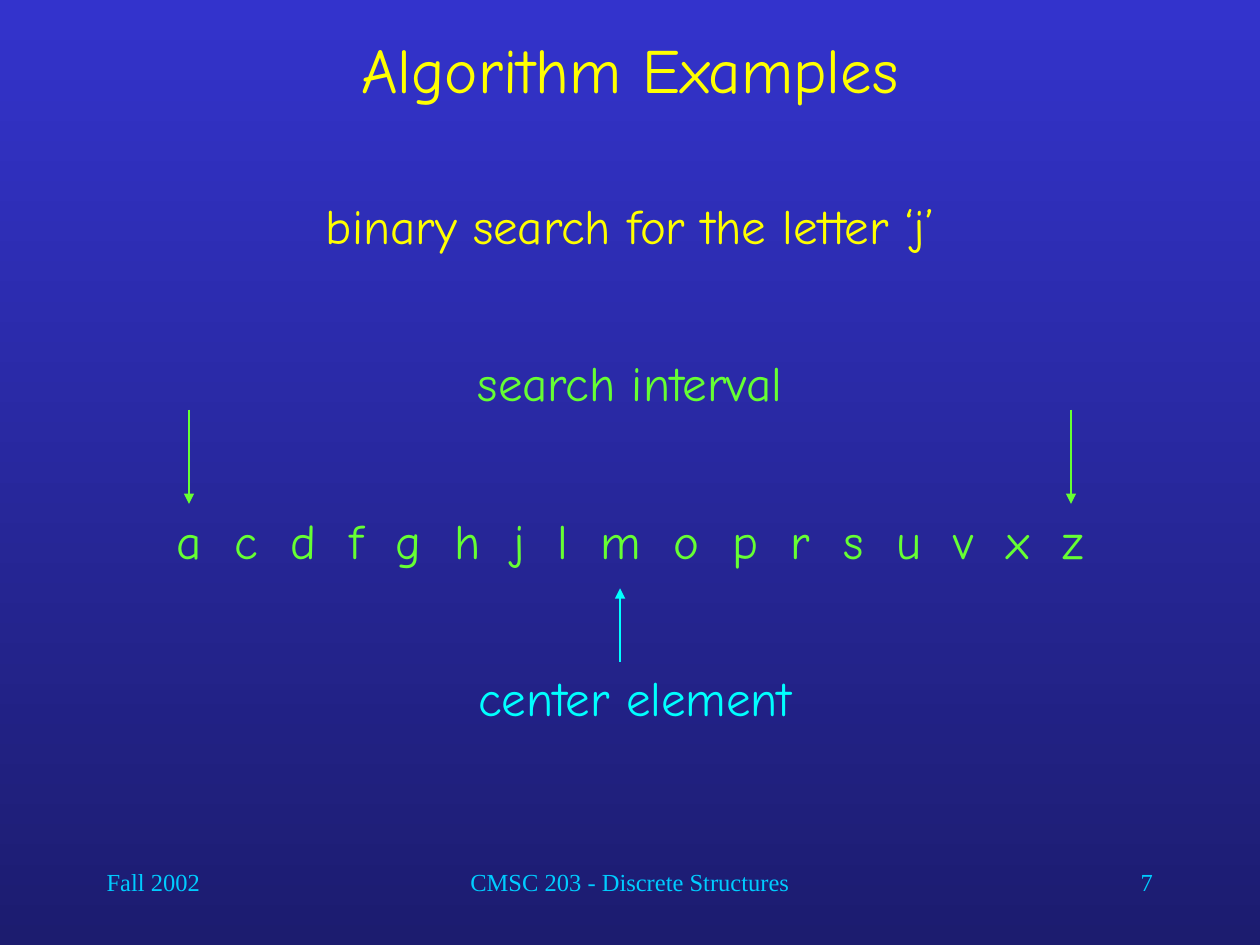
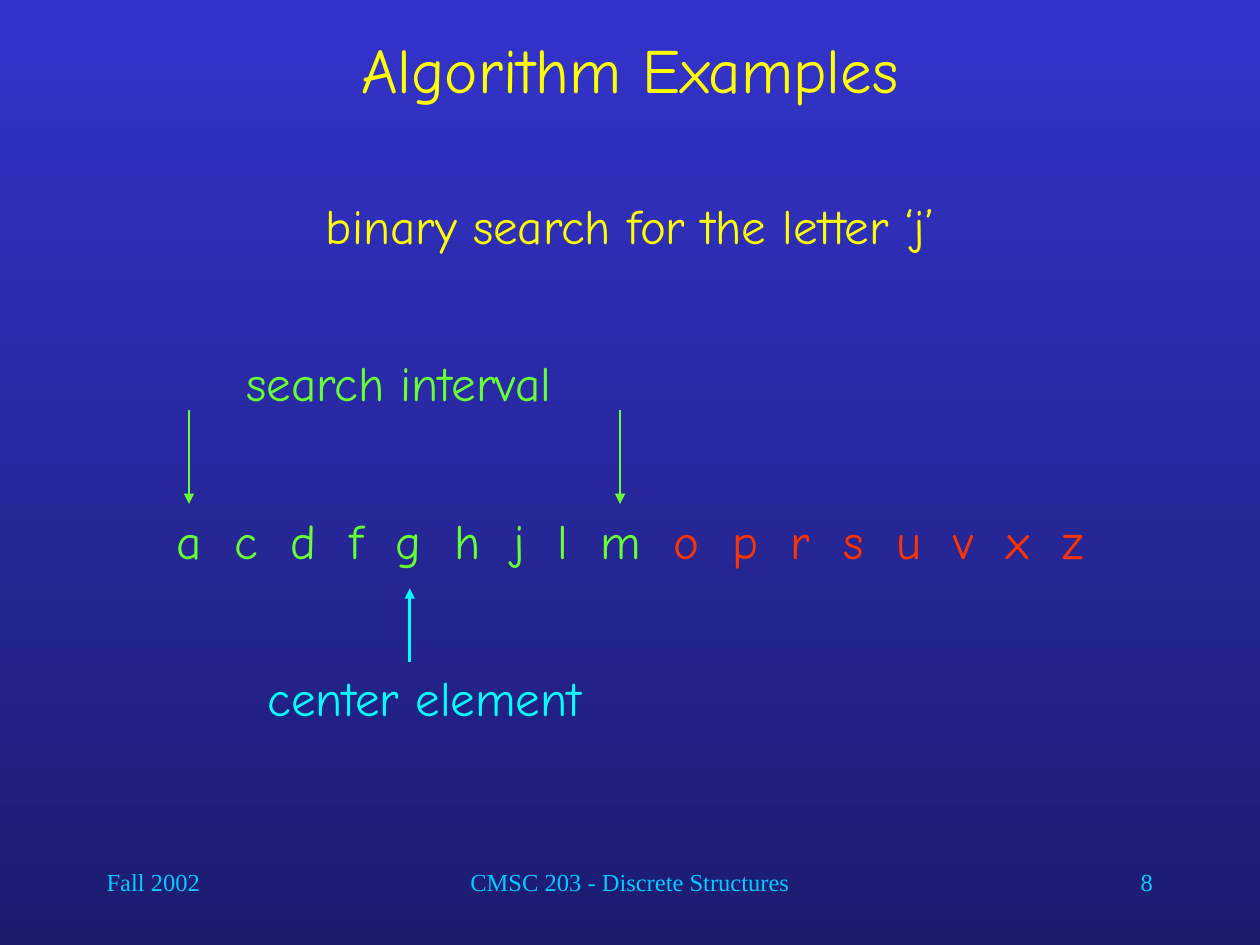
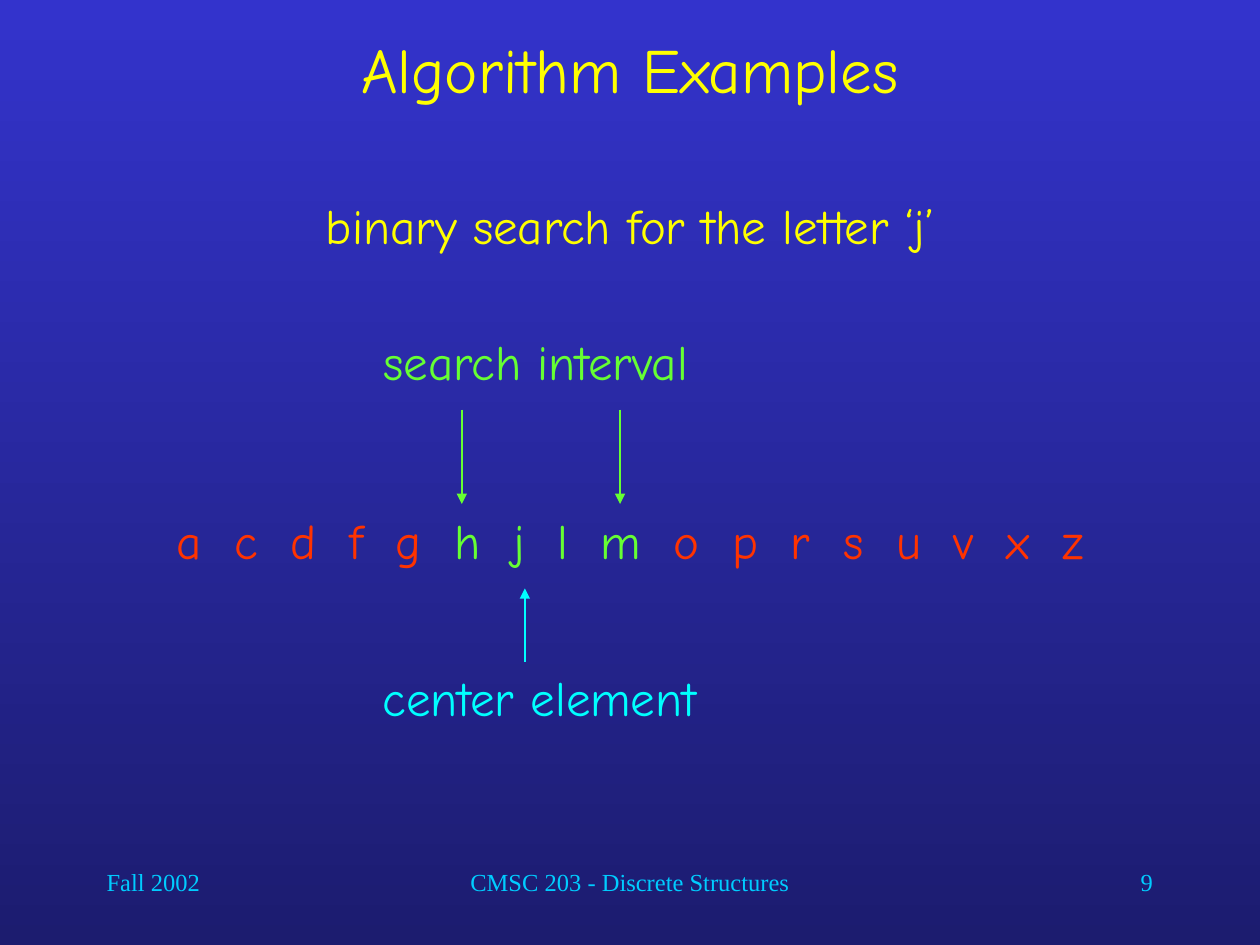
from itertools import groupby

from lxml.etree import SubElement
from pptx import Presentation
from pptx.dml.color import RGBColor
from pptx.enum.shapes import MSO_CONNECTOR
from pptx.enum.text import MSO_ANCHOR, PP_ALIGN
from pptx.oxml.ns import qn
from pptx.util import Cm, Pt

YELLOW, GREEN, RED, CYAN = "FFFF00", "66FF33", "FF3300", "00FFFF"
TITLE = {"name": "Comic Neue", "size": Pt(36)}
BODY = {"name": "Comic Neue", "size": Pt(28)}
FOOTER = {"name": "Times New Roman", "size": Pt(14)}
FOOTER_COLOUR = "00CCFF"

LETTERS = "acdfghjlmoprsuvxz"
GAP = "  "
LETTER_X = {"a": 3.81, "g": 8.26, "h": 9.31, "j": 10.58, "m": 12.5, "z": 21.59}
LABEL_HEIGHT = 1.45
CENTER_WIDTH = 7.82

# first, center and last letter; left and top of the interval label
STEPS = [
    ("a", "m", "z", 8.89, 6.99),
    ("a", "g", "m", 4.23, 6.99),
    ("h", "j", "m", 6.99, 6.56),
]


def add_text(page, left, top, width, height, runs, font, align=PP_ALIGN.CENTER):
    """Add a one-paragraph box; runs holds (text, colour) pairs."""
    box = page.shapes.add_textbox(Cm(left), Cm(top), Cm(width), Cm(height))
    box.text_frame.word_wrap = True
    para = box.text_frame.paragraphs[0]
    para.alignment = align
    for text, colour in runs:
        span = para.add_run()
        span.text = text
        for name, value in font.items():
            setattr(span.font, name, value)
        span.font.color.rgb = RGBColor.from_string(colour)
    return box


def add_arrow(page, x, start, end, colour):
    """Add a vertical line with its arrowhead at end."""
    arrow = page.shapes.add_connector(
        MSO_CONNECTOR.STRAIGHT, Cm(x), Cm(start), Cm(x), Cm(end))
    arrow.line.width = Pt(1.5)
    arrow.line.color.rgb = RGBColor.from_string(colour)
    SubElement(arrow.line._get_or_add_ln(), qn("a:tailEnd"), type="triangle")
    SubElement(arrow._element.spPr, qn("a:effectLst"))


deck = Presentation()
deck.slide_width, deck.slide_height = Cm(25.4), Cm(19.05)

backdrop = deck.slide_master.background.fill
backdrop.gradient()
backdrop.gradient_angle = 270
for stop, position, colour in zip(backdrop.gradient_stops, (0, 1), ("3333CC", "1C1C6F")):
    stop.position = position
    stop.color.rgb = RGBColor.from_string(colour)

for number, (first, center, last, label_left, label_top) in enumerate(STEPS, start=7):
    page = deck.slides.add_slide(deck.slide_layouts[6])

    for left, width, text, align in [
        (1.9, 5.29, "Fall 2002", PP_ALIGN.LEFT),
        (7.2, 11, "CMSC 203 - Discrete Structures", PP_ALIGN.CENTER),
        (18.2, 5.29, str(number), PP_ALIGN.RIGHT),
    ]:
        add_text(page, left, 17.36, width, 1.27, [(text, FOOTER_COLOUR)], FOOTER, align)

    title = add_text(page, 1.9, 0.42, 21.6, 1.9, [("Algorithm Examples", YELLOW)], TITLE)
    title.text_frame.vertical_anchor = MSO_ANCHOR.MIDDLE
    add_text(page, 2.33, 3.81, 20.75, LABEL_HEIGHT,
             [("binary search for the letter ‘j’", YELLOW)], BODY)

    # Letters inside the search interval are green, discarded ones red
    groups = groupby(LETTERS, key=lambda letter: GREEN if first <= letter <= last else RED)
    runs = [(GAP.join(group), colour) for colour, group in groups]
    runs = [(text + GAP, colour) for text, colour in runs[:-1]] + runs[-1:]
    add_text(page, 2.33, 10.16, 20.75, LABEL_HEIGHT, runs, BODY)

    for letter in (last, first):
        add_arrow(page, LETTER_X[letter], 8.26, 10.16, GREEN)
    add_text(page, label_left, label_top, 7.62, LABEL_HEIGHT,
             [("search interval", GREEN)], BODY)

    center_x = LETTER_X[center]
    add_arrow(page, center_x, 13.34, 11.86, CYAN)
    add_text(page, center_x + 0.3 - CENTER_WIDTH / 2, 13.34, CENTER_WIDTH, LABEL_HEIGHT,
             [("center element", CYAN)], BODY)

deck.save("out.pptx")
